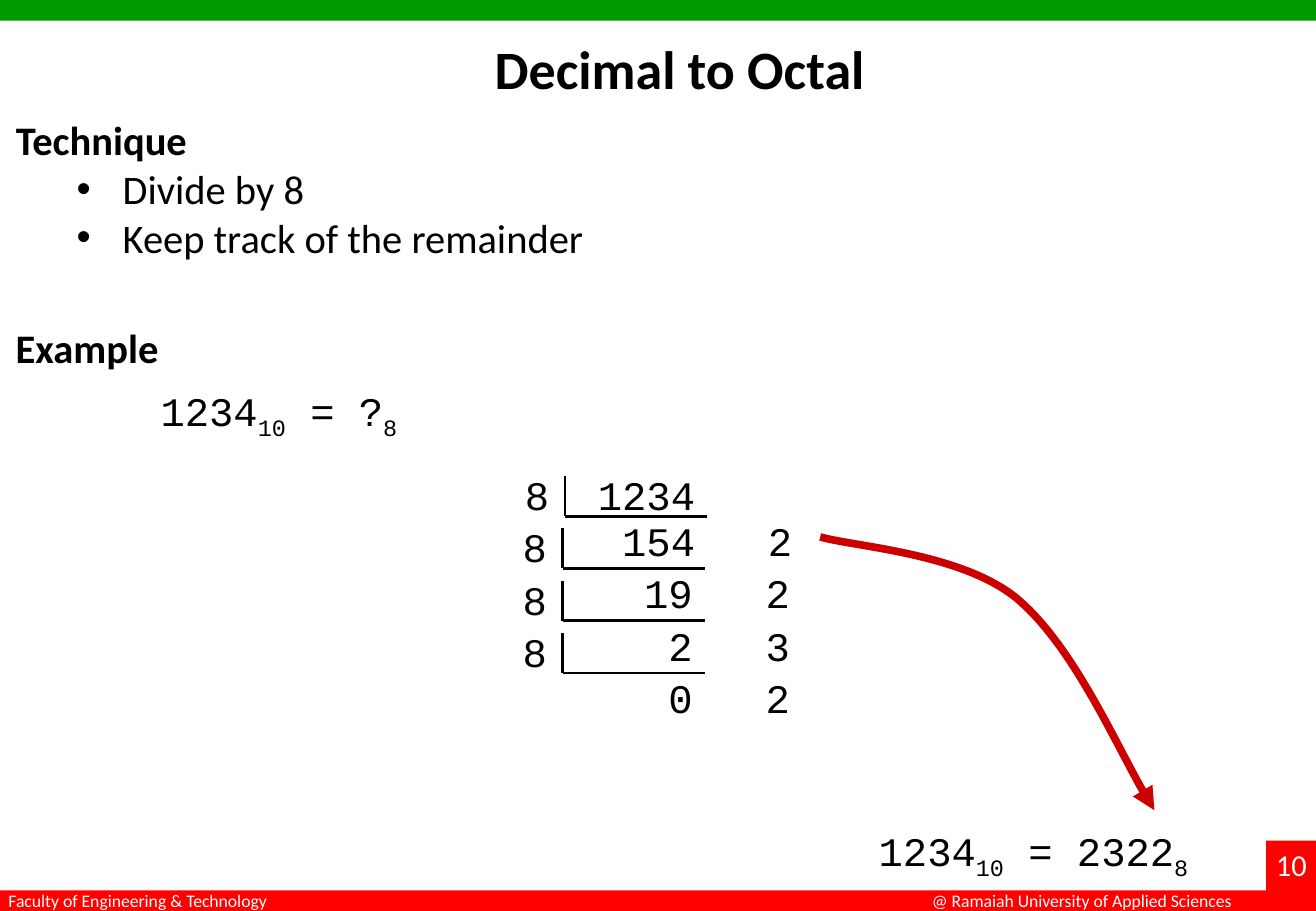
from lxml import etree
from pptx import Presentation
from pptx.dml.color import RGBColor
from pptx.enum.shapes import MSO_CONNECTOR, MSO_SHAPE
from pptx.enum.text import MSO_ANCHOR, PP_ALIGN
from pptx.oxml.ns import qn
from pptx.util import Inches, Pt

LEFT, MID, RIGHT = PP_ALIGN.LEFT, PP_ALIGN.CENTER, PP_ALIGN.RIGHT
TOP = MSO_ANCHOR.TOP
RECT = MSO_SHAPE.RECTANGLE
LINE = MSO_CONNECTOR.STRAIGHT

WIDE, HIGH = 10.83, 7.5
BLACK, WHITE, RED = "000000", "FFFFFF", "FF0000"

TITLE = "Decimal to Octal"
BARS = [
    (0, 0, WIDE, 0.17, "009900"),
    (0, 7.33, WIDE, 0.17, RED),
    (10.42, 6.92, 0.41, 0.58, RED),
]
FOOT = [
    ("Faculty of Engineering & Technology", 0.07, 7.33, 2.4, 0.17, 10.5),
    ("@ Ramaiah University of Applied Sciences", 7.67, 7.33, 2.7, 0.17, 10.5),
    ("10", 10.5, 6.97, 0.32, 0.3, 18),
]
STEPS = ["Divide by 8", "Keep track of the remainder"]
SUMS = [
    (("1234", "10", " = ?", "8"), 1.27, 3.18, 2.05),
    (("1234", "10", " = 2322", "8"), 7.02, 6.8, 2.97),
]
BASE = "8"
ROWS = [("1234", ""), ("154", "2"), ("19", "2"), ("2", "3"), ("0", "2")]
CURVE = [
    (6.75, 4.42),
    (7.02, 4.5), (7.9, 4.55), (8.36, 4.92),
    (8.82, 5.3), (9.26, 6.3), (9.5, 6.67),
]

HEAD = {"name": "Calibri", "size": Pt(24), "bold": True}
BODY = {"name": "Calibri", "size": Pt(24), "bold": False}
MONO = {"name": "Courier New", "size": Pt(24)}


def tint(code):
    return RGBColor.from_string(code)


def style(font, look, code=BLACK):
    for key, value in look.items():
        setattr(font, key, value)
    font.color.rgb = tint(code)


def frame(x, y, w, h):
    box = slide.shapes.add_textbox(*map(Inches, (x, y, w, h))).text_frame
    form = {"word_wrap": True, "margin_left": 0, "margin_right": 0,
            "margin_top": 0, "margin_bottom": 0}
    for key, value in form.items():
        setattr(box, key, value)
    return box


def write(text, x, y, w, h, look, align=LEFT, code=BLACK):
    box = frame(x, y, w, h)
    para = box.paragraphs[0]
    para.text = text
    para.alignment = align
    style(para.font, look, code)
    return box


def rule(*ends):
    line = slide.shapes.add_connector(LINE, *map(Inches, ends))
    line.line.color.rgb = tint(BLACK)
    line.line.width = Pt(1.5)
    etree.SubElement(line._element.spPr, qn("a:effectLst"))


deck = Presentation()
deck.slide_width, deck.slide_height = Inches(WIDE), Inches(HIGH)
slide = deck.slides.add_slide(deck.slide_layouts[5])

title = slide.shapes.title
spot = {"left": 0.72, "top": 0.24, "width": 9.75, "height": 1.25}
for key, value in spot.items():
    setattr(title, key, Inches(value))
title.text_frame.text = TITLE
title.text_frame.vertical_anchor = TOP
title.text_frame.paragraphs[0].alignment = MID
style(title.text_frame.paragraphs[0].font, {**HEAD, "size": Pt(32)})

for *area, code in BARS:
    bar = slide.shapes.add_shape(RECT, *map(Inches, area))
    bar.shadow.inherit = False
    bar.fill.solid()
    bar.fill.fore_color.rgb = tint(code)
    bar.line.fill.background()

for text, x, y, w, h, size in FOOT:
    write(text, x, y, w, h, {"name": "Calibri", "size": Pt(size)}, code=WHITE)

plan = write("Technique", 0.13, 0.95, 5.22, 1.21, HEAD)
for step in STEPS:
    para = plan.add_paragraph()
    para.text = step
    props = para._p.get_or_add_pPr()
    props.set("marL", str(Inches(0.88)))
    props.set("indent", str(Inches(-0.38)))
    etree.SubElement(props, qn("a:buFont"), typeface="Arial")
    etree.SubElement(props, qn("a:buChar"), char="•")
    style(para.font, BODY)
write("Example", 0.13, 2.66, 1.3, 0.4, HEAD)

for parts, x, y, w in SUMS:
    para = frame(x, y, w, 0.4).paragraphs[0]
    para.alignment = MID
    for i, part in enumerate(parts):
        run = para.add_run()
        run.text = part
        style(run.font, MONO)
        if i % 2:
            run._r.get_or_add_rPr().set("baseline", "-25000")

STEP = 0.43
for i, (whole, rest) in enumerate(ROWS):
    shift = 0 if i == 0 else -0.02
    y = 3.87 + STEP * i
    lift = 0 if i == 0 else 0.05
    back = 0 if i < 2 else -0.02
    write(whole, 4.82 + back, y - lift, 0.9, 0.38, MONO, RIGHT)
    if rest:
        write(rest, 6.32 + back, y - lift, 0.25, 0.38, MONO)
    if i < len(ROWS) - 1:
        write(BASE, 4.32 + shift, y, 0.25, 0.38, MONO)
        x, low = 4.65 + shift, y + 0.38
        rule(x, low - 0.33, x, low)
        rule(x, low, x + 1.17, low)

pen = slide.shapes.build_freeform(*map(Inches, CURVE[0]))
pen.add_line_segments([tuple(map(Inches, dot)) for dot in CURVE[1:]], close=False)
arc = pen.convert_to_shape()
arc.shadow.inherit = False
arc.fill.background()
arc.line.color.rgb = tint("CC0000")
arc.line.width = Pt(4.5)
legs = list(arc._element.iter(qn("a:lnTo")))
for i in range(0, len(legs), 3):
    legs[i].tag = qn("a:cubicBezTo")
    for leg in legs[i + 1:i + 3]:
        legs[i].append(leg[0])
        leg.getparent().remove(leg)
etree.SubElement(arc.line._get_or_add_ln(), qn("a:tailEnd"), type="triangle")

deck.save("out.pptx")
